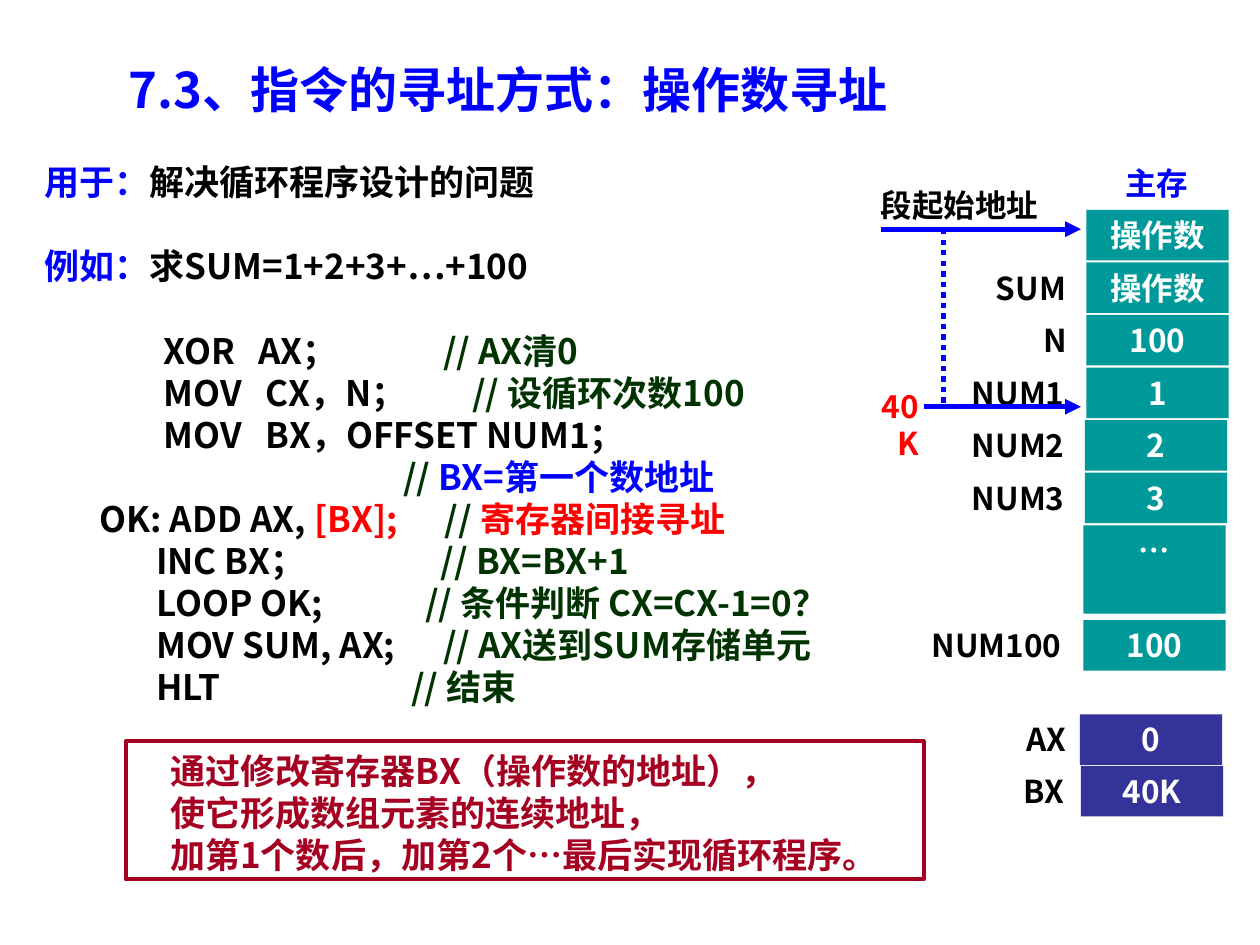
from lxml.etree import SubElement
from pptx import Presentation
from pptx.dml.color import RGBColor
from pptx.enum.dml import MSO_LINE
from pptx.enum.shapes import MSO_CONNECTOR, MSO_SHAPE
from pptx.enum.text import MSO_ANCHOR, PP_ALIGN
from pptx.oxml.ns import qn
from pptx.util import Cm, Pt

COLORS = {
    "blue": "0000FF", "black": "000000", "green": "003300", "red": "FF0000",
    "crimson": "A50021", "teal": "009999", "indigo": "333399", "white": "FFFFFF",
}
CELL_WIDTH, CELL_HEIGHT = 2.87, 1.02
MEMORY_TOP, ROW_STEP = 4.23, 1.06


class SlideBuilder:
    font = "Noto Sans CJK SC"
    line_factor = 1.2

    def __init__(self, slide):
        self.slide = slide

    def color(self, name):
        return RGBColor.from_string(COLORS[name])

    def paragraph(self, paragraph, runs, size, align=PP_ALIGN.LEFT, tabs=(), gap=False):
        if tabs:
            stops = SubElement(paragraph._p.get_or_add_pPr(), qn("a:tabLst"))
            for position in tabs:
                SubElement(stops, qn("a:tab"), pos=str(Cm(position)), algn="l")
        paragraph.alignment = align
        paragraph.line_spacing = Pt(size * self.line_factor)
        paragraph.space_before = Pt(size * self.line_factor if gap else 0)
        for words, color in runs:
            run = paragraph.add_run()
            run.text = words
            run.font.size = Pt(size)
            run.font.bold = True
            run.font.color.rgb = self.color(color)
            run.font.name = self.font
            SubElement(run._r.get_or_add_rPr(), qn("a:ea"), typeface=self.font)

    def text(self, left, top, width, height, lines, size=18, align=PP_ALIGN.LEFT, wrap=True):
        box = self.slide.shapes.add_textbox(Cm(left), Cm(top), Cm(width), Cm(height))
        frame = box.text_frame
        frame.word_wrap = wrap
        for index, (runs, tabs, gap) in enumerate(lines):
            paragraph = frame.add_paragraph() if index else frame.paragraphs[0]
            self.paragraph(paragraph, runs, size, align, tabs, gap)

    def label(self, left, top, width, words, color="black", size=18,
              align=PP_ALIGN.RIGHT, wrap=True, height=CELL_HEIGHT):
        self.text(left, top, width, height, [([(words, color)], (), False)], size, align, wrap)

    def rectangle(self, left, top, width, height):
        shape = self.slide.shapes.add_shape(
            MSO_SHAPE.RECTANGLE, Cm(left), Cm(top), Cm(width), Cm(height))
        shape.shadow.inherit = False
        return shape

    def cell(self, left, top, words, fill, height=CELL_HEIGHT):
        cell = self.rectangle(left, top, CELL_WIDTH, height)
        cell.fill.solid()
        cell.fill.fore_color.rgb = self.color(fill)
        cell.line.fill.background()
        cell.text_frame.word_wrap = True
        cell.text_frame.vertical_anchor = MSO_ANCHOR.TOP
        self.paragraph(cell.text_frame.paragraphs[0], [(words, "white")], 18, PP_ALIGN.CENTER)

    def frame(self, left, top, width, height, color):
        frame = self.rectangle(left, top, width, height)
        frame.fill.background()
        frame.line.color.rgb = self.color(color)
        frame.line.width = Pt(2.25)

    def line(self, start_x, start_y, end_x, end_y, arrow=True):
        line = self.slide.shapes.add_connector(
            MSO_CONNECTOR.STRAIGHT, Cm(start_x), Cm(start_y), Cm(end_x), Cm(end_y))
        line.line.color.rgb = self.color("blue")
        line.line.width = Pt(3)
        if arrow:
            SubElement(line.line._get_or_add_ln(), qn("a:tailEnd"), type="triangle")
        else:
            line.line.dash_style = MSO_LINE.ROUND_DOT
        SubElement(line._element.spPr, qn("a:effectLst"))


def code(instruction, comment, *tabs, gap=False):
    return [("\t" + instruction + "\t", "black"), (comment, "green")], tabs, gap


def conclusion(words, gap=False):
    return [("\t" + words, "crimson")], (2.54,), gap


PROGRAM = [
    ([("用于：", "blue"), ("解决循环程序设计的问题", "black")], (), False),
    ([("例如：", "blue"), ("求SUM=1+2+3+…+100", "black")], (), True),
    code("XOR\tAX；", "// AX清0", 2.41, 4.32, 8.05, gap=True),
    code("MOV\tCX，N；", "// 设循环次数100", 2.41, 4.47, 8.63),
    ([("\tMOV\tBX，OFFSET NUM1；", "black")], (2.41, 4.47), False),
    ([("\t// ", "green"), ("BX=第一个数地址", "blue")], (7.24,), False),
    ([("\tOK: ADD AX, ", "black"), ("[BX];\t", "red"), ("// ", "green"),
      ("寄存器间接寻址", "red")], (1.12, 8.08), False),
    code("INC BX；", "// BX=BX+1", 2.26, 8),
    code("LOOP OK;", "// 条件判断 CX=CX-1=0？", 2.26, 7.68),
    code("MOV SUM, AX;", "// AX送到SUM存储单元", 2.26, 8.05),
    code("HLT", "// 结束", 2.26, 7.4),
    conclusion("通过修改寄存器BX（操作数的地址），", gap=True),
    conclusion("使它形成数组元素的连续地址，"),
    conclusion("加第1个数后，加第2个…最后实现循环程序。"),
]
MEMORY = [
    (21.9, "操作数"), (21.9, "操作数"), (21.9, "100"),
    (21.9, "1"), (21.87, "2"), (21.87, "3"),
]
ROW_LABELS = [
    ("SUM", 19.81, 1.93), ("N", 20.75, 1.02), ("NUM1", 19.25, 2.46),
    ("NUM2", 19.25, 2.46), ("NUM3", 19.25, 2.46),
]
REGISTERS = [
    ("AX", "0", 14.4, 21.77, 20.37, 1.37),
    ("BX", "40K", 15.44, 21.79, 20.35, 1.35),
]


def main():
    presentation = Presentation()
    presentation.slide_width, presentation.slide_height = Cm(25.4), Cm(19.05)
    builder = SlideBuilder(presentation.slides.add_slide(presentation.slide_layouts[6]))

    builder.text(0.64, 3.12, 22.86, 14.66, PROGRAM, size=20)

    builder.label(21.69, 3.18, 3.25, "主存", "blue", align=PP_ALIGN.CENTER)
    for row, (left, value) in enumerate(MEMORY):
        builder.cell(left, MEMORY_TOP + row * ROW_STEP, value, "teal")
    for row, (name, left, width) in enumerate(ROW_LABELS, start=1):
        builder.label(left, MEMORY_TOP + row * ROW_STEP, width, name, wrap=False)
    builder.cell(21.84, MEMORY_TOP + len(MEMORY) * ROW_STEP, "…", "teal", height=1.78)
    builder.cell(21.84, 12.5, "100", "teal")
    builder.label(18.47, 12.5, 3.18, "NUM100", wrap=False)

    builder.line(17.75, 4.62, 21.79, 4.62)
    builder.line(19.02, 4.62, 19.02, 8.2, arrow=False)
    builder.line(18.62, 8.2, 21.79, 8.2)
    builder.label(16.71, 3.63, 4.47, "段起始地址")
    builder.label(17.12, 7.67, 1.65, "40K", "red")

    for name, value, top, cell_left, label_left, label_width in REGISTERS:
        builder.cell(cell_left, top, value, "indigo")
        builder.label(label_left, top, label_width, name, wrap=False)

    builder.frame(2.54, 14.94, 16.08, 2.79, "crimson")
    builder.label(2.34, 1.07, 17.58, "7.3、指令的寻址方式：操作数寻址", "blue",
                  size=28, align=PP_ALIGN.LEFT, height=1.45)

    presentation.save("out.pptx")


if __name__ == "__main__":
    main()
